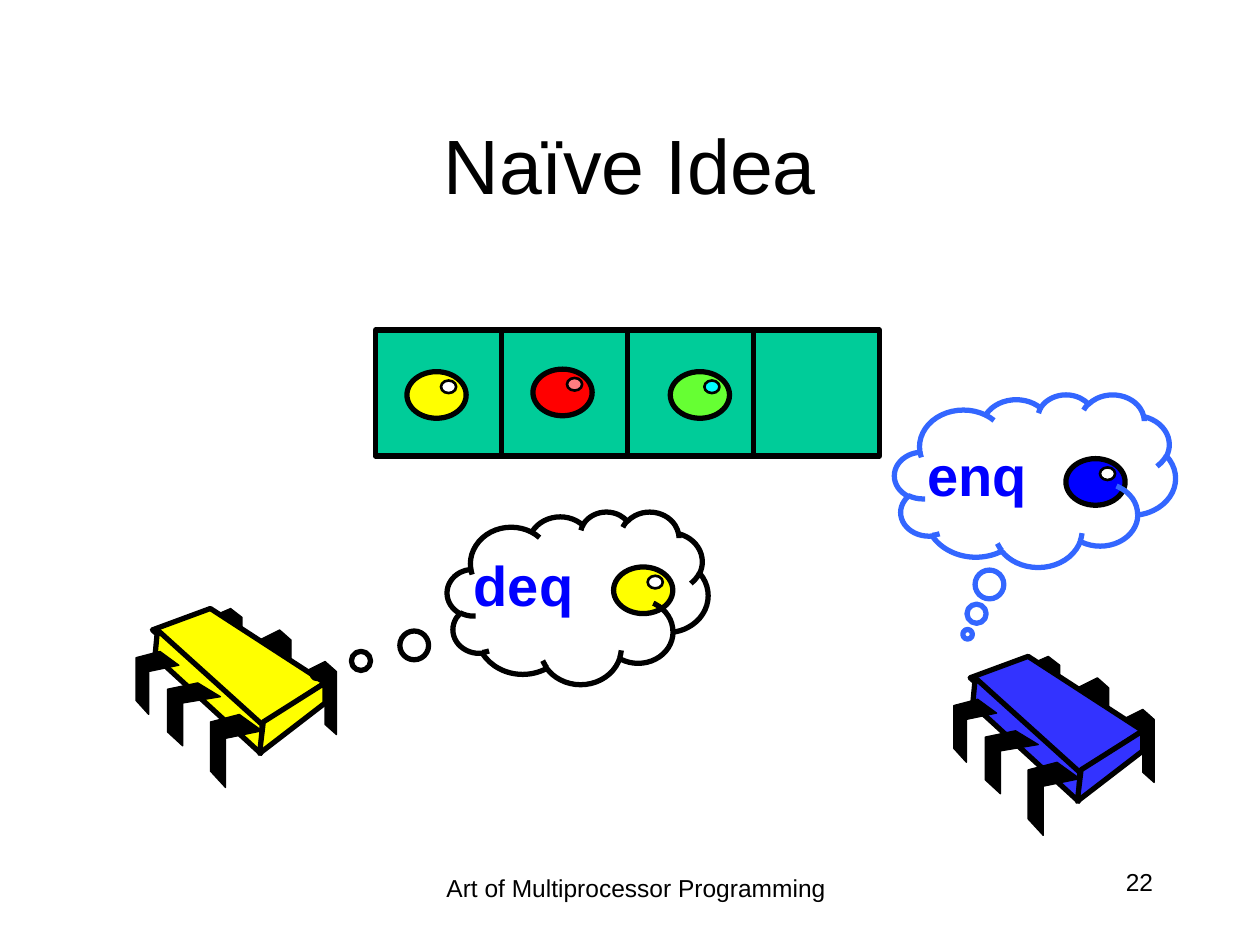
"""Build a slide on a naive shared queue with an enqueuer and a dequeuer."""
from dataclasses import dataclass
from typing import Optional

from lxml.etree import SubElement
from pptx import Presentation
from pptx.dml.color import RGBColor
from pptx.enum.shapes import MSO_CONNECTOR, MSO_SHAPE
from pptx.enum.text import MSO_ANCHOR, PP_ALIGN
from pptx.oxml.ns import qn
from pptx.util import Inches, Pt

BLACK = RGBColor(0, 0, 0)
WHITE = RGBColor(255, 255, 255)
GREEN = RGBColor(0, 204, 153)
LIME = RGBColor(102, 255, 51)
CYAN = RGBColor(0, 255, 255)
RED = RGBColor(255, 0, 0)
PINK = RGBColor(255, 124, 128)
YELLOW = RGBColor(255, 255, 0)
BLUE = RGBColor(0, 0, 255)
INDIGO = RGBColor(51, 51, 255)
SKY = RGBColor(51, 102, 255)

COLS, ROWS = 10, 7.5
UNIT = Inches(1)
STEP = UNIT // 100
ROW_X, ROW_Y = 2.98, 2.62


@dataclass
class Ball:
    x: float
    y: float
    fill: RGBColor
    shine: RGBColor = WHITE


@dataclass
class Label:
    text: str
    x: float
    y: float
    w: float
    h: float
    size: int
    align: PP_ALIGN
    color: RGBColor = BLACK
    bold: bool = False
    wrap: bool = True
    anchor: MSO_ANCHOR = MSO_ANCHOR.TOP


@dataclass
class Cloud:
    x: float
    y: float
    w: float
    tail: tuple[float, float]
    color: RGBColor


@dataclass
class Part:
    points: list[tuple[int, int]]
    body: bool = False


@dataclass
class Chip:
    dx: float
    dy: float
    fill: RGBColor


PARTS = [
    Part([(242, 533), (258, 525), (267, 533), (267, 583), (258, 575), (258, 542), (242, 550)]),
    Part([(206, 508), (222, 500), (231, 508), (231, 558), (222, 550), (222, 517), (206, 525)]),
    Part([(167, 490), (183, 483), (192, 490), (192, 533), (183, 526), (183, 498), (167, 505)]),
    Part([(167, 483), (258, 542), (207, 576), (121, 500)], True),
    Part([(125, 500), (208, 575), (207, 598), (123, 521)], True),
    Part([(258, 542), (258, 558), (206, 598), (209, 573)], True),
    Part([(190, 567), (208, 580), (179, 586), (179, 625), (167, 612), (167, 573)]),
    Part([(157, 542), (175, 553), (145, 558), (145, 592), (133, 581), (133, 547)]),
    Part([(127, 517), (142, 528), (118, 533), (118, 567), (108, 556), (108, 522)]),
]

deck = Presentation()
deck.slide_width, deck.slide_height = int(COLS * UNIT), int(ROWS * UNIT)
slide = deck.slides.add_slide(deck.slide_layouts[6])
shapes = slide.shapes


def grid(*nums: float) -> list[int]:
    return [round(num * UNIT) for num in nums]


def paint(shape, fill: Optional[RGBColor], line: RGBColor = BLACK, width: float = 3) -> None:
    shape.shadow.inherit = False
    if fill is None:
        shape.fill.background()
    else:
        shape.fill.solid()
        shape.fill.fore_color.rgb = fill
    shape.line.color.rgb = line
    shape.line.width = Pt(width)


def add_slot(col: int) -> None:
    slot = shapes.add_shape(MSO_SHAPE.RECTANGLE, *grid(ROW_X + col, ROW_Y, 1, 1))
    paint(slot, GREEN)


def add_edge(y: float) -> None:
    edge = shapes.add_connector(MSO_CONNECTOR.STRAIGHT, *grid(5.9, y, 6.9, y))
    edge.line.color.rgb = BLACK
    edge.line.width = Pt(3)
    SubElement(edge._element.spPr, qn("a:effectLst"))


def add_ball(ball: Ball) -> None:
    disc = shapes.add_shape(MSO_SHAPE.OVAL, *grid(ball.x, ball.y, 0.47, 0.37))
    paint(disc, ball.fill)
    spot = shapes.add_shape(MSO_SHAPE.OVAL, *grid(ball.x + 0.27, ball.y + 0.07, 0.12, 0.1))
    paint(spot, ball.shine, width=1.5)


def add_label(label: Label) -> None:
    box = shapes.add_textbox(*grid(label.x, label.y, label.w, label.h))
    frame = box.text_frame
    frame.word_wrap = label.wrap
    frame.vertical_anchor = label.anchor
    para = frame.paragraphs[0]
    para.alignment = label.align
    run = para.add_run()
    run.text = label.text
    run.font.name = "Arial"
    run.font.size = Pt(label.size)
    run.font.bold = label.bold
    run.font.color.rgb = label.color


def add_cloud(cloud: Cloud) -> None:
    shape = shapes.add_shape(MSO_SHAPE.CLOUD_CALLOUT, *grid(cloud.x, cloud.y, cloud.w, 1.37))
    shape.adjustments[0], shape.adjustments[1] = cloud.tail
    paint(shape, None, cloud.color)


def add_chip(chip: Chip) -> None:
    for part in PARTS:
        pen = shapes.build_freeform(*part.points[0], scale=STEP)
        pen.add_line_segments(part.points[1:], close=True)
        shape = pen.convert_to_shape(*grid(chip.dx, chip.dy))
        if part.body:
            paint(shape, chip.fill)
        else:
            paint(shape, BLACK, width=0.75)


add_label(Label("Naïve Idea", 0.75, 0.67, 8.5, 1.25, 44, PP_ALIGN.CENTER,
                anchor=MSO_ANCHOR.MIDDLE))
for col in range(3):
    add_slot(col)
for y in (ROW_Y, ROW_Y + 1):
    add_edge(y)
for ball in (Ball(5.32, 2.95, LIME, CYAN), Ball(4.23, 2.93, RED, PINK), Ball(3.23, 2.95, YELLOW)):
    add_ball(ball)
add_slot(3)

for word, x, y in (("enq", 7.25, 3.45), ("deq", 3.65, 4.32)):
    add_label(Label(word, x, y, 1, 0.64, 32, PP_ALIGN.RIGHT, BLUE, True, False))
for ball in (Ball(8.46, 3.64, BLUE), Ball(4.87, 4.5, YELLOW)):
    add_ball(ball)

for chip, cloud in (
    (Chip(0, 0, YELLOW), Cloud(3.55, 4.06, 2.07, (-1, 0.44), BLACK)),
    (Chip(6.49, 0.38, INDIGO), Cloud(7.1, 3.13, 2.23, (-0.24, 0.89), SKY)),
):
    add_chip(chip)
    add_cloud(cloud)

add_label(Label("22", 7.17, 6.83, 2.08, 0.5, 14, PP_ALIGN.RIGHT))
add_label(Label("Art of Multiprocessor Programming", 3.23, 6.88, 3.64, 0.5, 14, PP_ALIGN.CENTER))

deck.save("out.pptx")
